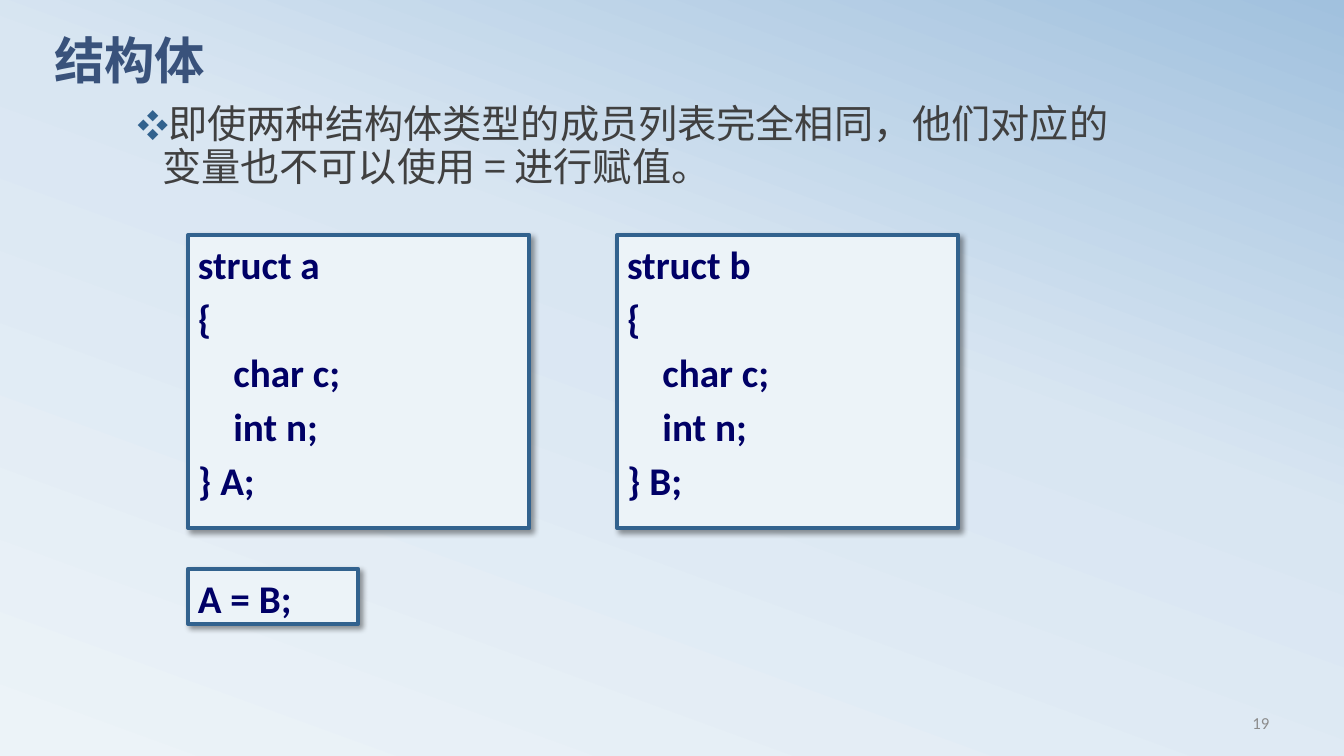
import copy

import lxml.etree
import pptx
import pptx.dml.color
import pptx.enum.shapes
import pptx.enum.text
import pptx.oxml.ns
import pptx.util

RGB = pptx.dml.color.RGBColor
ALIGN = pptx.enum.text.PP_ALIGN
ANCHOR = pptx.enum.text.MSO_ANCHOR
PALE = RGB(0xEC, 0xF3, 0xF8)
MIST = RGB(0xD9, 0xE6, 0xF2)
SKY = RGB(0xA1, 0xC1, 0xDE)
STEEL = RGB(0x32, 0x62, 0x8E)
TITLE_BLUE = RGB(0x39, 0x52, 0x7B)
CODE_NAVY = RGB(0x00, 0x00, 0x66)
BODY_GRAY = RGB(0x40, 0x40, 0x40)
NUMBER_GRAY = RGB(0x8C, 0x8C, 0x8C)
SHADOW_BLACK = RGB(0, 0, 0)


class SlideBuilder:
    scale = 914400 / 100.8
    formats = {
        "title": {"name": "Calibri", "size": 36, "bold": True, "color": TITLE_BLUE},
        "body": {"name": "Noto Sans CJK SC", "size": 28, "bold": False, "color": BODY_GRAY},
        "code": {"name": "Calibri", "size": 28, "bold": True, "color": CODE_NAVY},
        "number": {"name": "Calibri", "size": 12, "bold": False, "color": NUMBER_GRAY},
    }

    def __init__(self, deck):
        self.slide = deck.slides.add_slide(deck.slide_layouts[1])

    def px(self, length):
        return pptx.util.Emu(round(length * self.scale))

    def element(self, parent, tag, **attributes):
        return lxml.etree.SubElement(parent, pptx.oxml.ns.qn(tag), attributes)

    def place(self, shape, *bounds):
        for name, length in zip(("left", "top", "width", "height"), bounds):
            setattr(shape, name, self.px(length))

    def fill_text(self, shape, lines, style, anchor=ANCHOR.TOP, **layout):
        frame = shape.text_frame
        settings = {"word_wrap": True, "vertical_anchor": anchor,
                    "auto_size": pptx.enum.text.MSO_AUTO_SIZE.NONE}
        for name, value in settings.items():
            setattr(frame, name, value)
        for index, line in enumerate(lines):
            para = frame.add_paragraph() if index else frame.paragraphs[0]
            spacing = {"alignment": ALIGN.LEFT,
                       "space_before": pptx.util.Pt(5 if index else 0)}
            for name, value in {**spacing, **layout}.items():
                setattr(para, name, value)
            span = para.add_run()
            span.text = line
            for name, value in self.formats[style].items():
                if name == "color":
                    span.font.color.rgb = value
                else:
                    setattr(span.font, name, pptx.util.Pt(value) if name == "size" else value)

    def background(self, stops, angle):
        fill = self.slide.background.fill
        fill.gradient()
        fill.gradient_angle = angle
        last = fill.gradient_stops[-1]._gs
        last.addprevious(copy.deepcopy(last))
        for stop, (position, color) in zip(fill.gradient_stops, stops):
            stop.position = position
            stop.color.rgb = color

    def title(self, text, *bounds):
        box = self.slide.shapes.title
        self.place(box, *bounds)
        self.fill_text(box, [text], "title", line_spacing=0.8)

    def bullet_list(self, lines, *bounds):
        box = self.slide.placeholders[1]
        self.place(box, *bounds)
        self.fill_text(box, lines, "body", line_spacing=0.9)
        indent = self.px(25)
        for para in box.text_frame.paragraphs:
            properties = para._p.get_or_add_pPr()
            properties.set("marL", str(indent))
            properties.set("indent", str(-indent))
            color = self.element(properties, "a:buClr")
            self.element(color, "a:srgbClr", val=str(STEEL))
            self.element(properties, "a:buSzPct", val="80000")
            self.element(properties, "a:buFont", typeface="Noto Sans CJK SC")
            self.element(properties, "a:buChar", char="❖")

    def code_box(self, lines, *bounds):
        box = self.slide.shapes.add_shape(
            pptx.enum.shapes.MSO_SHAPE.RECTANGLE, *map(self.px, bounds))
        box.fill.solid()
        box.fill.fore_color.rgb = PALE
        box.line.color.rgb = STEEL
        box.line.width = pptx.util.Pt(3)
        box.shadow.inherit = False
        effects = box._element.spPr.find(pptx.oxml.ns.qn("a:effectLst"))
        shadow = self.element(effects, "a:outerShdw", blurRad="50800", dist="38100",
                              dir="2700000", algn="tl", rotWithShape="0")
        color = self.element(shadow, "a:srgbClr", val=str(SHADOW_BLACK))
        self.element(color, "a:alpha", val="40000")
        self.fill_text(box, lines, "code")

    def page_number(self, text, *bounds):
        box = self.slide.shapes.add_textbox(*map(self.px, bounds))
        self.fill_text(box, [text], "number", ANCHOR.MIDDLE, alignment=ALIGN.RIGHT)


def main():
    deck = pptx.Presentation()
    deck.slide_width = pptx.util.Inches(13.33)
    deck.slide_height = pptx.util.Inches(7.5)
    page = SlideBuilder(deck)
    page.background([(0, PALE), (0.58, MIST), (1, SKY)], 70)
    page.title("结构体", 44, 36, 1210, 95)
    page.bullet_list(
        ["即使两种结构体类型的成员列表完全相同，他们对应的变量也不可以使用 = 进行赋值。"],
        127, 100, 1029, 127)
    for column, name in enumerate("ab"):
        lines = [f"struct {name}", "{", "    char c;", "    int n;", f"}} {name.upper()};"]
        page.code_box(lines, 188 + 429 * column, 235, 341, 293)
    page.code_box(["A = B;"], 188, 569, 170, 55)
    page.page_number("19", 966, 703, 313, 40)
    deck.save("out.pptx")


if __name__ == "__main__":
    main()
